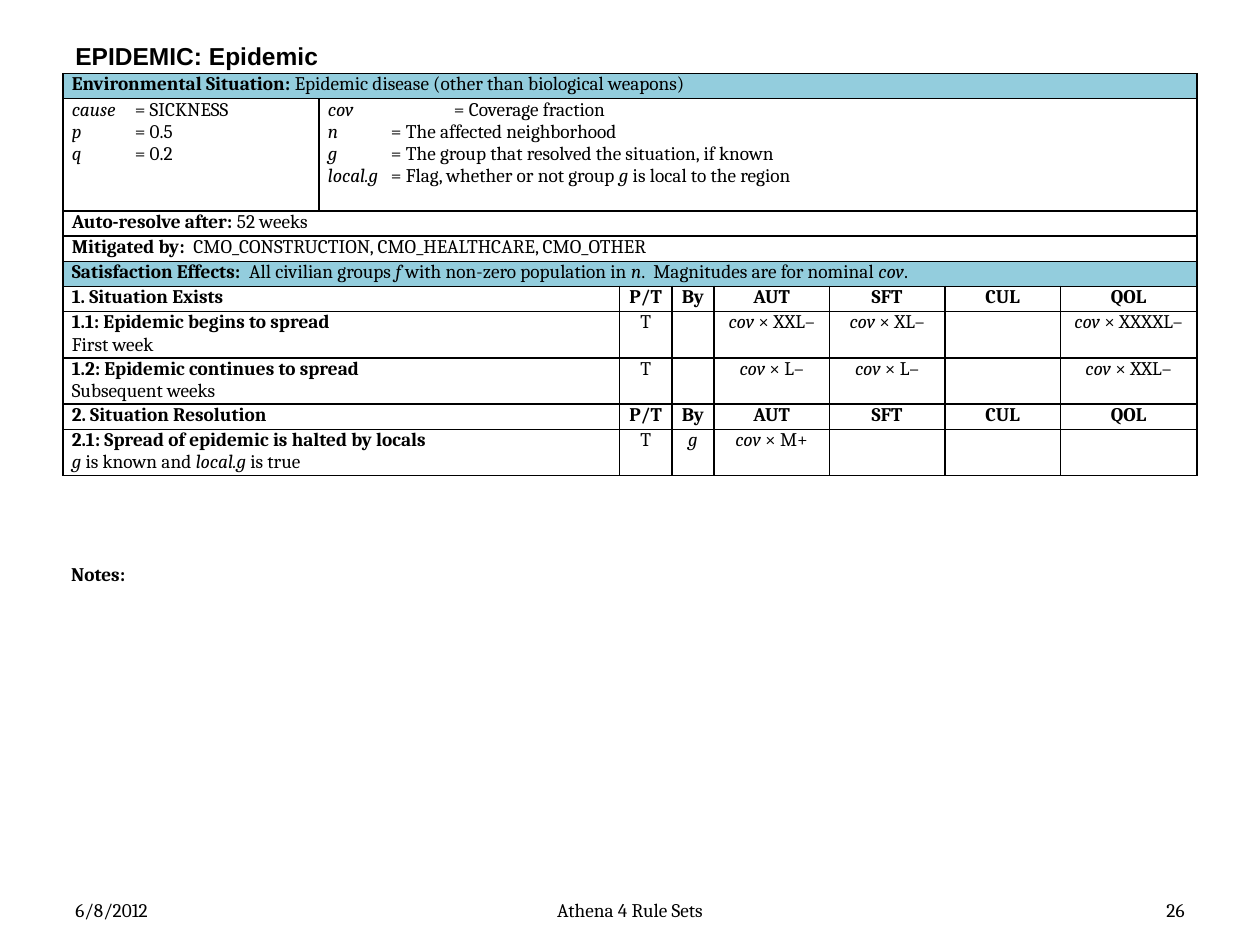
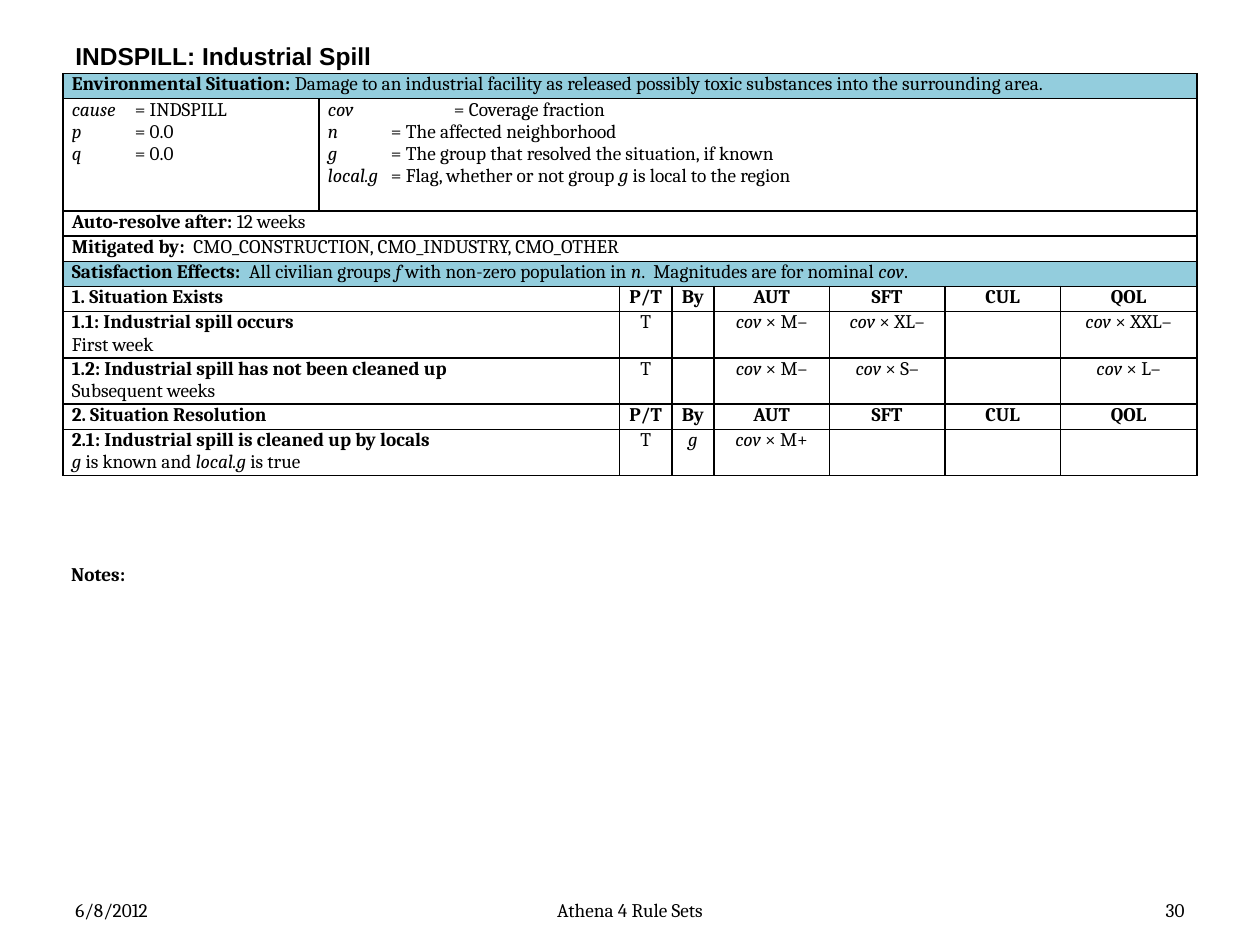
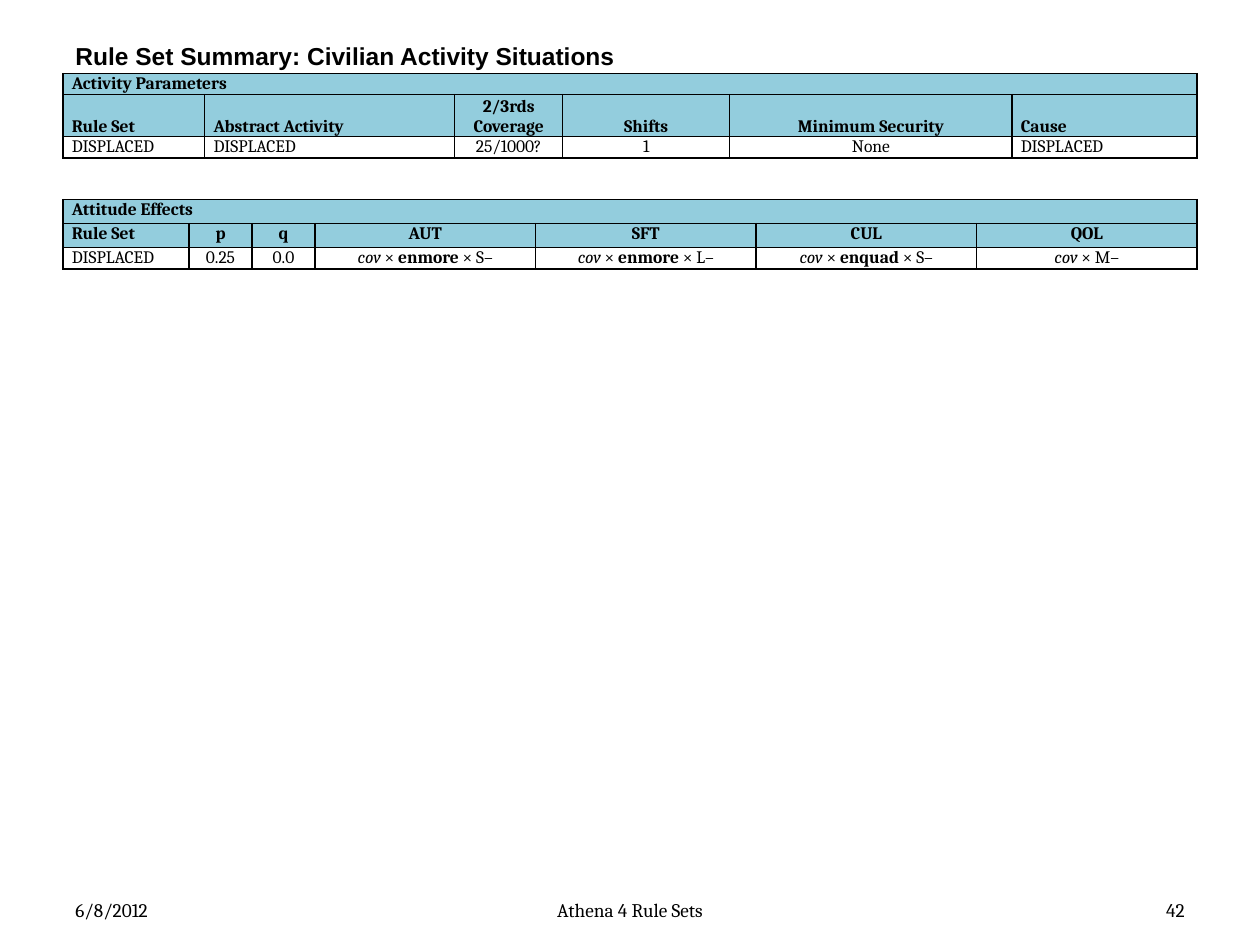
import dataclasses

import pptx
import pptx.dml.color
import pptx.enum.text
import pptx.oxml.ns
import pptx.util
from lxml import etree

# Grid: 120 columns by 90 rows on a 10 x 7.5 inch slide
UNITS_PER_INCH = 12
COLUMNS, ROWS = 120, 90
LEFT, WIDTH = 6, 108

BLACK, WHITE, BAND = "000000", "FFFFFF", "93CDDD"
TITLE_FONT, BODY_FONT = "Arial", "Cambria"
ALIGN = {
    "l": pptx.enum.text.PP_ALIGN.LEFT,
    "c": pptx.enum.text.PP_ALIGN.CENTER,
    "r": pptx.enum.text.PP_ALIGN.RIGHT,
}
TOP = pptx.enum.text.MSO_ANCHOR.TOP
MIDDLE = pptx.enum.text.MSO_ANCHOR.MIDDLE
BOTTOM = pptx.enum.text.MSO_ANCHOR.BOTTOM


def units(count):
    return pptx.util.Inches(count / UNITS_PER_INCH)


def color(value):
    return pptx.dml.color.RGBColor.from_string(value)


def add_xml(parent, tag, **attributes):
    return etree.SubElement(parent, pptx.oxml.ns.qn(tag), attributes)


@dataclasses.dataclass
class Row:
    height: float
    cells: list
    spans: tuple = ()
    fill: str = WHITE
    anchor: object = TOP
    tabs: dict = dataclasses.field(default_factory=dict)


class Deck:
    """Holds the shared style and the slide being built."""

    def __init__(self):
        self.deck = pptx.Presentation()
        self.deck.slide_width = units(COLUMNS)
        self.deck.slide_height = units(ROWS)
        self.page = None

    def add_page(self, title, number):
        self.page = self.deck.slides.add_slide(self.deck.slide_layouts[6])
        self.text(LEFT, 3.6, WIDTH, 3.4, f"*{title}*", size=14, font=TITLE_FONT)
        self.text(LEFT, 85, 28, 3.2, "6/8/2012")
        self.text(41, 85, 38, 3.2, "Athena 4 Rule Sets", align="c")
        self.text(86, 85, 28, 3.2, number, align="r")

    def fill_text(self, frame, text, size, font=BODY_FONT, align="l", tabs=()):
        """Add one paragraph a line; *bold* and ~italic~ mark the spans."""
        frame.word_wrap = True
        for index, line in enumerate(text.split("\n")):
            para = frame.add_paragraph() if index else frame.paragraphs[0]
            para.alignment = ALIGN[align]
            if tabs:
                stops = add_xml(para._p.get_or_add_pPr(), "a:tabLst")
                add_xml(stops, "a:tab", pos=str(units(tabs[index])), algn="l")
            for bold, piece in enumerate(line.split("*")):
                for italic, part in enumerate(piece.split("~")):
                    if part:
                        span = para.add_run()
                        span.text = part
                        span.font.name = font
                        span.font.size = pptx.util.Pt(size)
                        span.font.bold = bold % 2 == 1
                        span.font.italic = italic % 2 == 1
                        span.font.color.rgb = color(BLACK)

    def text(self, left, top, width, height, text, size=11, font=BODY_FONT,
             align="l", anchor=MIDDLE):
        box = self.page.shapes.add_textbox(
            units(left), units(top), units(width), units(height))
        box.text_frame.vertical_anchor = anchor
        self.fill_text(box.text_frame, text, size, font, align)

    def style_cell(self, cell, row):
        cell.margin_left = cell.margin_right = pptx.util.Inches(0.07)
        cell.margin_top = cell.margin_bottom = 0
        cell.vertical_anchor = row.anchor
        for side in ("a:lnL", "a:lnR", "a:lnT", "a:lnB"):
            line = add_xml(cell._tc.get_or_add_tcPr(), side,
                           w=str(pptx.util.Pt(1)))
            add_xml(add_xml(line, "a:solidFill"), "a:srgbClr", val=BLACK)
        cell.fill.solid()
        cell.fill.fore_color.rgb = color(row.fill)

    def table(self, top, widths, rows, aligns, size):
        height = sum(row.height for row in rows)
        grid = self.page.shapes.add_table(
            len(rows), len(widths), units(LEFT), units(top),
            units(WIDTH), units(height)).table
        for column, width in zip(grid.columns, widths):
            column.width = units(width)
        for index, row in enumerate(rows):
            grid.rows[index].height = units(row.height)
            for column in range(len(widths)):
                self.style_cell(grid.cell(index, column), row)
            column = 0
            spans = row.spans or (1,) * len(row.cells)
            for position, (text, span) in enumerate(zip(row.cells, spans)):
                cell = grid.cell(index, column)
                if span > 1:
                    cell.merge(grid.cell(index, column + span - 1))
                self.fill_text(cell.text_frame, text, size, align=aligns[column],
                               tabs=row.tabs.get(position, ()))
                column += span


def bold(*labels):
    return [f"*{label}*" for label in labels]


def situation_page(deck, title, number, about, cause, p, q, weeks, mitigation,
                   first, later, resolved):
    """Rule set page; first and later hold a name and AUT, SFT, QOL sizes."""
    full, split = (8,), (2,) + (1,) * 6
    heads = bold("P/T", "By", "AUT", "SFT", "CUL", "QOL")

    def rule(label, effects):
        name, aut, sft, qol = effects
        cells = [f"*{name}*\n{label}", "T", "", f"~cov~ × {aut}",
                 f"~cov~ × {sft}", "", f"~cov~ × {qol}"]
        return Row(4.2, cells, split)

    parameters = f"~cause~\t= {cause}\n~p~\t= {p}\n~q~\t= {q}"
    variables = ("~cov\t~= Coverage fraction\n"
                 "~n\t~= The affected neighborhood\n"
                 "~g~\t= The group that resolved the situation, if known\n"
                 "~local.g\t~= Flag, whether or not group ~g~ is local to the region")
    effects_scope = ("*Satisfaction Effects:  *All civilian groups ~f ~with non-zero "
                     "population in ~n~.  Magnitudes are for nominal ~cov~.")
    rows = [
        Row(2.4, [f"*Environmental Situation:* {about}"], full, BAND),
        Row(10.7, [parameters, variables], (1, 7),
            tabs={0: (6, 6, 6), 1: (12, 6, 6, 6)}),
        Row(2.4, [f"*Auto-resolve after:* {weeks} weeks"], full),
        Row(2.4, [f"*Mitigated by:*  {mitigation}"], full),
        Row(2.4, [effects_scope], full, BAND),
        Row(2.4, bold("1. Situation Exists") + heads, split),
        rule("First week", first),
        rule("Subsequent weeks", later),
        Row(2.4, bold("2. Situation Resolution") + heads, split),
        Row(4.2, [f"*{resolved}*\n~g~ is known and ~local.g~ is true",
                  "T", "~g~", "~cov~ × M+", "", "", ""], split),
    ]
    deck.add_page(title, number)
    deck.table(7, (24.4, 28.6, 5, 4, 11, 11, 11, 13), rows, "llcccccc", 11)
    deck.text(5.6, 53, 109, 3.5, "*Notes:*", anchor=TOP)


def summary_page(deck):
    deck.add_page("Rule Set Summary: Civilian Activity Situations", "42")

    # Activity parameters
    activity = [
        Row(2, bold("Activity Parameters"), (6,), BAND),
        Row(4, bold("Rule Set", "Abstract Activity") + ["*2/3rds*\n*Coverage*"]
            + bold("Shifts", "Minimum Security", "Cause"),
            fill=BAND, anchor=BOTTOM),
        Row(2, ["DISPLACED", "DISPLACED", "25/1000?", "1", "None", "DISPLACED"]),
    ]
    deck.table(7, (13.5, 23.8, 10.3, 15.9, 26.9, 17.6), activity, "llcccl", 10)

    # Attitude effects
    attitude = [
        Row(2.3, bold("Attitude Effects"), (7,), BAND),
        Row(2.3, bold("Rule Set", "p", "q", "AUT", "SFT", "CUL", "QOL"), fill=BAND),
        Row(2, ["DISPLACED", "0.25", "0.0", "~cov~ × *enmore* × S–",
                "~cov~ × *enmore* × L–", "~cov~ × *enquad* × S–", "~cov~ × M–"]),
    ]
    deck.table(19, (12, 6, 6, 21, 21, 21, 21), attitude, "lcccccc", 10)


def main():
    deck = Deck()
    situation_page(
        deck, "EPIDEMIC: Epidemic", "26",
        about="Epidemic disease (other than biological weapons)",
        cause="SICKNESS", p="0.5", q="0.2", weeks=52,
        mitigation="CMO_CONSTRUCTION, CMO_HEALTHCARE, CMO_OTHER",
        first=("1.1: Epidemic begins to spread", "XXL–", "XL–", "XXXXL–"),
        later=("1.2: Epidemic continues to spread", "L–", "L–", "XXL–"),
        resolved="2.1: Spread of epidemic is halted by locals")
    situation_page(
        deck, "INDSPILL: Industrial Spill", "30",
        about="Damage to an industrial facility as released possibly toxic "
              "substances into the surrounding area.",
        cause="INDSPILL", p="0.0", q="0.0", weeks=12,
        mitigation="CMO_CONSTRUCTION, CMO_INDUSTRY, CMO_OTHER",
        first=("1.1: Industrial spill occurs", "M–", "XL–", "XXL–"),
        later=("1.2: Industrial spill has not been cleaned up", "M–", "S–", "L–"),
        resolved="2.1: Industrial spill is cleaned up by locals")
    summary_page(deck)
    deck.deck.save("out.pptx")


if __name__ == "__main__":
    main()
